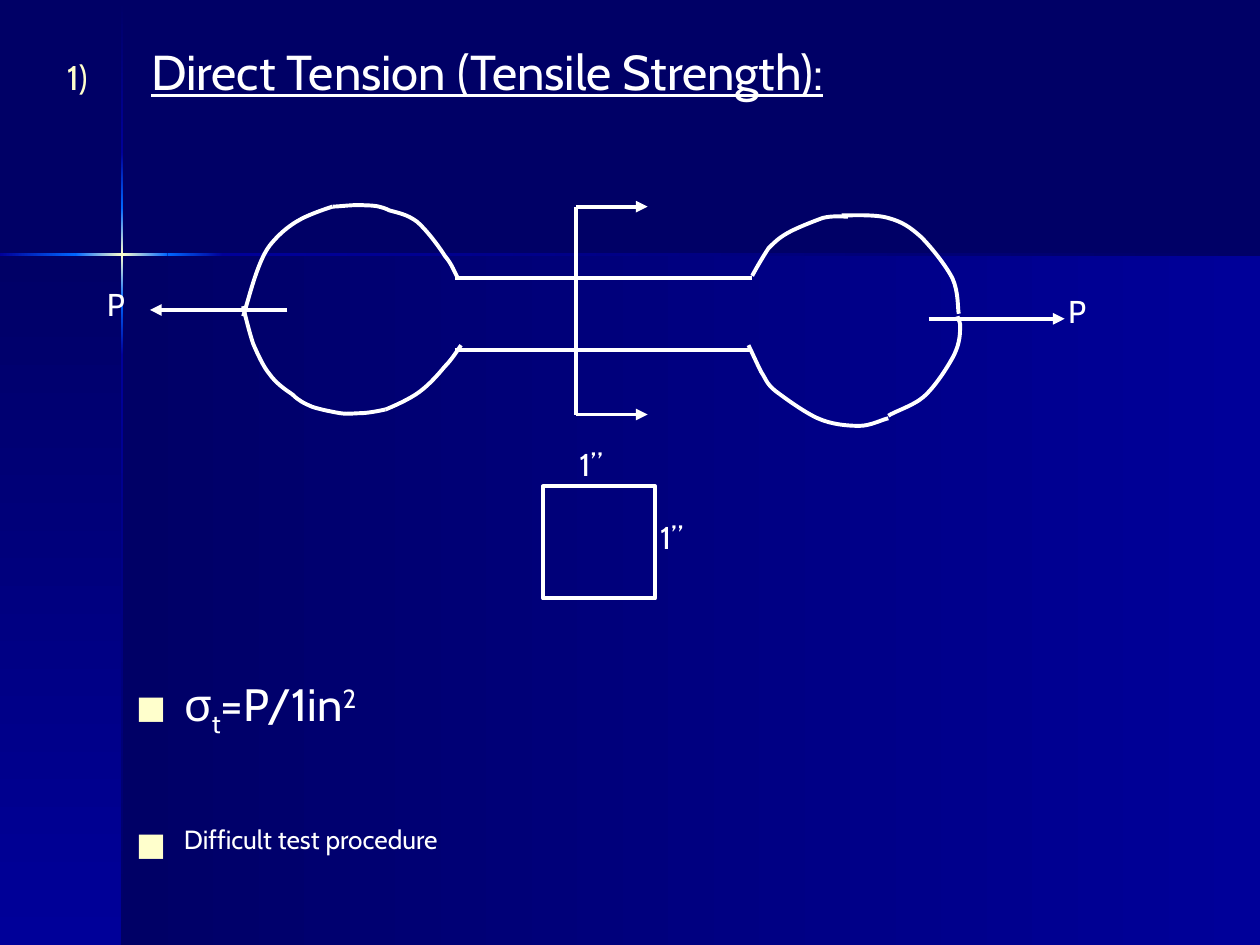
import itertools

import lxml.etree
import pptx
import pptx.dml.color
import pptx.enum.shapes
import pptx.enum.text
import pptx.oxml.ns
import pptx.util

COLUMNS, ROWS = 10, 7.5
NAVY, BLUE, AZURE, CREAM, WHITE = "000066", "000099", "0066FF", "FFFFCC", "FFFFFF"
RAY = 0.02
CROSS_X, CROSS_Y = 0.97, 2.02

# Each outline is a start point followed by triples of Bezier points.
SPECIMEN_ENDS = [
    [(3.63, 2.2), (3.61, 2.17), (3.59, 2.1), (3.53, 2.03), (3.48, 1.95), (3.38, 1.82), (3.31, 1.76),
     (3.23, 1.7), (3.16, 1.69), (3.09, 1.67), (3.03, 1.64), (2.98, 1.63), (2.9, 1.63),
     (2.83, 1.62), (2.69, 1.64), (2.64, 1.64)],
    [(2.64, 1.64), (2.64, 1.64), (2.45, 1.7), (2.37, 1.75), (2.37, 1.75), (2.25, 1.81), (2.14, 1.95),
     (2.04, 2.08), (1.97, 2.39), (1.93, 2.51)],
    [(1.93, 2.43), (1.94, 2.48), (1.98, 2.64), (2.01, 2.73), (2.05, 2.82), (2.09, 2.91), (2.14, 2.97),
     (2.19, 3.04), (2.26, 3.09), (2.32, 3.13), (2.37, 3.18), (2.41, 3.2), (2.48, 3.23),
     (2.54, 3.25), (2.64, 3.27), (2.7, 3.28), (2.77, 3.29), (2.81, 3.28), (2.86, 3.28),
     (2.92, 3.28), (3.02, 3.26), (3.06, 3.25)],
    [(3.06, 3.25), (3.11, 3.23), (3.25, 3.17), (3.33, 3.11), (3.41, 3.05), (3.48, 2.97), (3.53, 2.91),
     (3.59, 2.85), (3.63, 2.78), (3.66, 2.74)],
    [(5.94, 2.74), (5.96, 2.78), (6.01, 2.89), (6.04, 2.95), (6.08, 3.01), (6.08, 3.04), (6.15, 3.1),
     (6.23, 3.16), (6.38, 3.27), (6.49, 3.32), (6.6, 3.37), (6.73, 3.38), (6.82, 3.38),
     (6.91, 3.38), (7, 3.33), (7.05, 3.32)],
    [(7.05, 3.3), (7.09, 3.27), (7.25, 3.22), (7.33, 3.15), (7.42, 3.07), (7.51, 2.93), (7.56, 2.84),
     (7.61, 2.75), (7.62, 2.67), (7.62, 2.61), (7.63, 2.56), (7.6, 2.53), (7.6, 2.51)],
    [(7.61, 2.49), (7.6, 2.45), (7.61, 2.32), (7.56, 2.21), (7.51, 2.11), (7.39, 1.96), (7.31, 1.88),
     (7.22, 1.8), (7.16, 1.76), (7.05, 1.73), (6.95, 1.7), (6.76, 1.71), (6.68, 1.71)],
    [(5.97, 2.19), (5.99, 2.15), (6.06, 2.03), (6.1, 1.97), (6.15, 1.92), (6.18, 1.89), (6.25, 1.85),
     (6.32, 1.81), (6.45, 1.76), (6.53, 1.73), (6.61, 1.71), (6.69, 1.72), (6.73, 1.72)],
]


def color(hex_string):
    return pptx.dml.color.RGBColor.from_string(hex_string)


def add_element(parent, tag, **attributes):
    return lxml.etree.SubElement(parent, pptx.oxml.ns.qn(tag), **attributes)


class SlideBuilder:
    font_name = "Cabin"
    line_width = pptx.util.Pt(2.25)

    def __init__(self, presentation):
        self.column = presentation.slide_width / COLUMNS
        self.row = presentation.slide_height / ROWS
        self.slide = presentation.slides.add_slide(presentation.slide_layouts[1])
        self.shapes = self.slide.shapes
        self.slide.background.fill.solid()
        self.slide.background.fill.fore_color.rgb = color(NAVY)

    def lengths(self, *values):
        """Turn alternating columns and rows into slide units."""
        units = itertools.cycle((self.column, self.row))
        return [pptx.util.Emu(round(value * unit)) for value, unit in zip(values, units)]

    def draw_line(self, line):
        line.color.rgb = color(WHITE)
        line.width = self.line_width

    def rectangle(self, *box):
        shape = self.shapes.add_shape(pptx.enum.shapes.MSO_SHAPE.RECTANGLE, *self.lengths(*box))
        shape.shadow.inherit = False
        return shape

    def gradient(self, box, start, end, vertical=False):
        shape = self.rectangle(*box)
        shape.line.fill.background()
        shape.fill.gradient()
        shape.fill.gradient_angle = 270 if vertical else 0
        for stop, stop_color in zip(shape.fill.gradient_stops, (start, end)):
            stop.color.rgb = color(stop_color)

    def ray(self, stops, vertical=False):
        """Draw a thin band whose colour runs through (position, colour) stops."""
        for (start, first), (end, last) in itertools.pairwise(stops):
            if vertical:
                box = (CROSS_X - RAY / 2, start, RAY, end - start)
            else:
                box = (start, CROSS_Y - RAY / 2, end - start, RAY)
            self.gradient(box, first, last, vertical)

    def outline_box(self, *box):
        shape = self.rectangle(*box)
        shape.fill.background()
        self.draw_line(shape.line)

    def line(self, *ends, arrow=False):
        connector = self.shapes.add_connector(
            pptx.enum.shapes.MSO_CONNECTOR.STRAIGHT, *self.lengths(*ends))
        self.draw_line(connector.line)
        add_element(connector._element.spPr, "a:effectLst")
        if arrow:
            add_element(connector.line._get_or_add_ln(), "a:tailEnd", type="triangle")

    def curve(self, points):
        start, *others = [self.lengths(*point) for point in points]
        builder = self.shapes.build_freeform(*start)
        builder.add_line_segments(others, close=False)
        shape = builder.convert_to_shape()
        shape.shadow.inherit = False
        shape.fill.background()
        self.draw_line(shape.line)
        outline = next(shape._element.iter(pptx.oxml.ns.qn("a:path")))
        segments = outline.findall(pptx.oxml.ns.qn("a:lnTo"))
        for index in range(0, len(segments), 3):
            bezier = add_element(outline, "a:cubicBezTo")
            for segment in segments[index:index + 3]:
                bezier.append(segment[0])
                outline.remove(segment)

    def run(self, paragraph, text, size, baseline=0, underline=None):
        run = paragraph.add_run()
        run.text = text
        run.font.name = self.font_name
        run.font.size = pptx.util.Pt(size)
        run.font.color.rgb = color(WHITE)
        run.font.underline = underline
        if baseline:
            run._r.get_or_add_rPr().set("baseline", str(baseline * 1000))

    def label(self, text, *box):
        frame = self.shapes.add_textbox(*self.lengths(*box)).text_frame
        frame.word_wrap = True
        self.run(frame.paragraphs[0], text, 18)

    def bullet(self, paragraph, indent, tag, **attributes):
        properties = paragraph._p.get_or_add_pPr()
        properties.set("marL", str(round(indent * self.column)))
        properties.set("indent", str(-round(indent * self.column)))
        add_element(add_element(properties, "a:buClr"), "a:srgbClr", val=CREAM)
        add_element(properties, "a:buSzPct", val="70000")
        add_element(properties, "a:buFont", typeface=self.font_name)
        add_element(properties, tag, **attributes)
        paragraph.alignment = pptx.enum.text.PP_ALIGN.LEFT
        paragraph.space_before = pptx.util.Pt(0)

    def place(self, placeholder, *box):
        """Move a placeholder to the box and in front of what is drawn so far."""
        placeholder.left, placeholder.top, placeholder.width, placeholder.height = self.lengths(*box)
        self.shapes._spTree.append(placeholder._element)
        frame = placeholder.text_frame
        frame.word_wrap = True
        frame.auto_size = pptx.enum.text.MSO_AUTO_SIZE.NONE
        frame.vertical_anchor = pptx.enum.text.MSO_ANCHOR.TOP
        return frame

    def title(self, text, *box):
        paragraph = self.place(self.shapes.title, *box).paragraphs[0]
        self.bullet(paragraph, 0.67, "a:buAutoNum", type="arabicParenR")
        self.run(paragraph, text, 28, underline=True)

    def bullets(self, items, gap, *box):
        """Fill the body with items, each a list of (text, baseline percent)."""
        frame = self.place(self.slide.placeholders[1], *box)
        for index, item in enumerate(items):
            paragraph = frame.add_paragraph() if index else frame.paragraphs[0]
            self.bullet(paragraph, 0.38, "a:buChar", char="■")
            if index:
                paragraph.space_before = pptx.util.Pt(gap)
            for text, baseline in item:
                self.run(paragraph, text, 25.9, baseline)


def main():
    presentation = pptx.Presentation()
    presentation.slide_width = pptx.util.Inches(10)
    presentation.slide_height = pptx.util.Inches(7.5)
    builder = SlideBuilder(presentation)

    builder.gradient((CROSS_X, CROSS_Y, COLUMNS - CROSS_X, ROWS - CROSS_Y), NAVY, BLUE)
    builder.gradient((0, CROSS_Y, CROSS_X, ROWS - CROSS_Y), NAVY, BLUE, vertical=True)
    builder.ray([(0, NAVY), (1.21, BLUE), (1.65, AZURE), (CROSS_Y, CREAM),
                 (2.38, AZURE), (2.82, BLUE), (ROWS, NAVY)], vertical=True)
    builder.ray([(0, BLUE), (0.6, AZURE), (CROSS_X, CREAM),
                 (1.33, AZURE), (1.77, BLUE), (COLUMNS, NAVY)])

    builder.title("Direct Tension (Tensile Strength):", 0.43, 0.28, 8.27, 0.71)
    builder.bullets([[("σ", 0), ("t", -25), ("=P/1in", 0), ("2", 30)],
                     [("Difficult test procedure", 30)]], 45, 0.98, 5.32, 4.42, 1.57)

    section_x, section_top, section_bottom = 4.57, 1.64, 3.29
    for y in (section_top, section_bottom):
        builder.line(section_x, y, 5.14, y, arrow=True)
    builder.line(section_x, section_top, section_x, section_bottom)
    builder.line(7.37, 2.53, 8.45, 2.53, arrow=True)
    builder.line(2.28, 2.46, 1.19, 2.46, arrow=True)
    for y in (2.21, 2.78):
        builder.line(3.61, y, 5.97, y)
    builder.outline_box(4.31, 3.86, 0.89, 0.89)
    for points in SPECIMEN_ENDS:
        builder.curve(points)

    for text, x, y in (("P", 8.38, 2.27), ("P", 0.75, 2.21), ("1”", 4.5, 3.48), ("1”", 5.14, 4.06)):
        builder.label(text, x, y, 0.64, 0.44)

    presentation.save("out.pptx")


if __name__ == "__main__":
    main()
